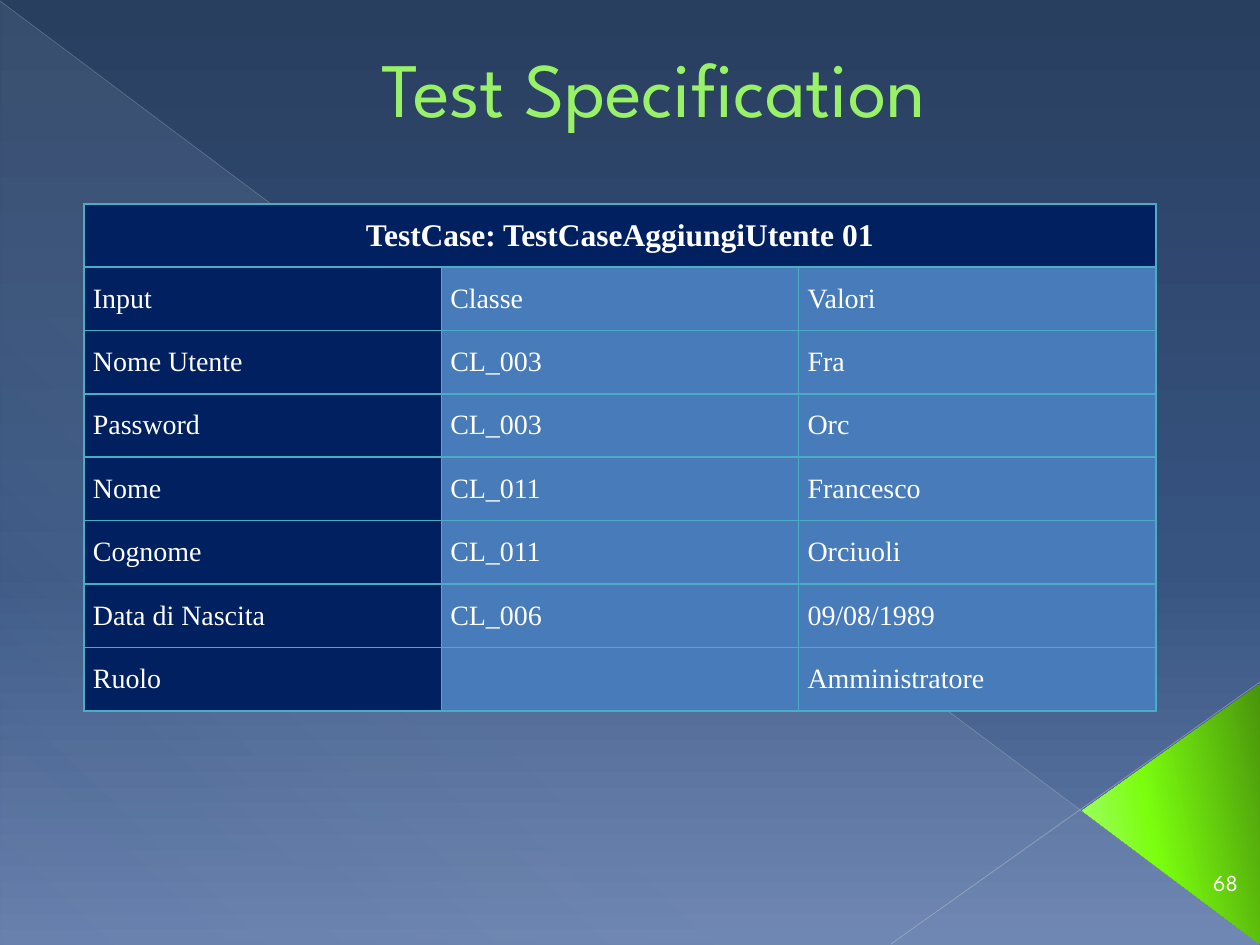
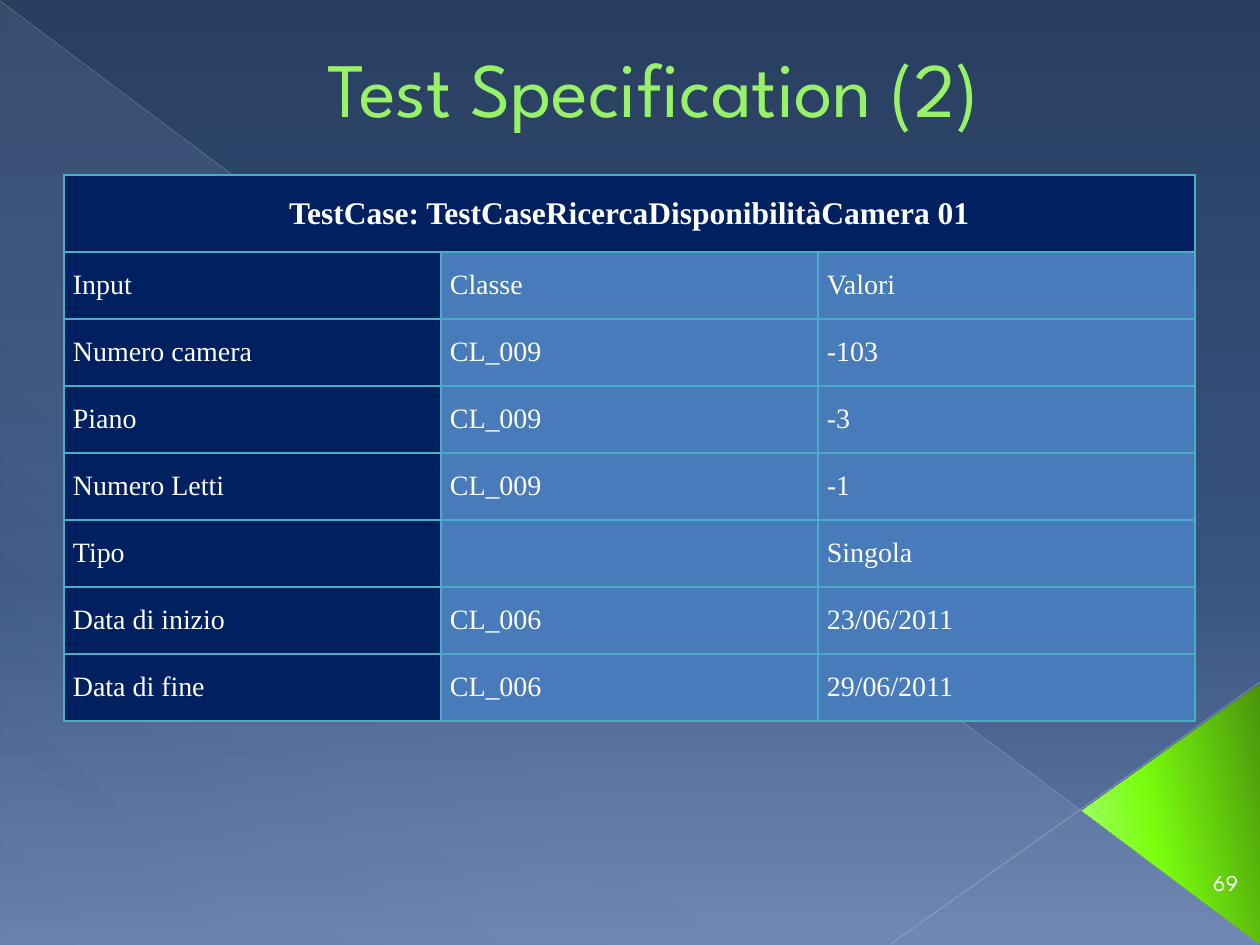
from dataclasses import dataclass

from lxml import etree
from pptx import Presentation
from pptx.dml.color import RGBColor
from pptx.enum.shapes import MSO_CONNECTOR, MSO_SHAPE
from pptx.enum.text import MSO_ANCHOR, PP_ALIGN
from pptx.oxml.ns import qn
from pptx.util import Emu, Pt

STRAIGHT = MSO_CONNECTOR.STRAIGHT
TRIANGLE, RIGHT_TRIANGLE = MSO_SHAPE.ISOSCELES_TRIANGLE, MSO_SHAPE.RIGHT_TRIANGLE
MIDDLE, BOTTOM = MSO_ANCHOR.MIDDLE, MSO_ANCHOR.BOTTOM
CENTER, JUSTIFY = PP_ALIGN.CENTER, PP_ALIGN.JUSTIFY
SLIDE_W, SLIDE_H = 1260, 945


def px(n):
    return Emu(round(n * 914400 / 126))


@dataclass(frozen=True)
class Theme:
    heading_font: str = "League Spartan"
    table_font: str = "Times New Roman"
    title_size: int = 44
    header_size: int = 18
    cell_size: int = 16
    number_size: int = 13
    title: str = "98F167"
    title_outline: str = "589129"
    text: str = "FFFFFF"
    dark_cell: str = "002060"
    light_cell: str = "477BB9"
    border: str = "4BACC6"
    diagonal: str = "B7BCC5"
    corner_line: str = "BFC3CB"
    sky: tuple = ((0, "293F60", 100), (60, "375380", 100), (100, "667FAC", 100))
    haze: tuple = ((0, "D6ECFF", 10), (70, "D6ECFF", 8), (100, "D6ECFF", 1))
    green: tuple = ((0, "49940B", 100), (60, "7BFE0E", 100), (100, "A8FF7D", 100))


def add_color(parent, color, opacity=100):
    clr = etree.SubElement(parent, qn("a:srgbClr"), val=color)
    if opacity < 100:
        etree.SubElement(clr, qn("a:alpha"), val=str(opacity * 1000))


def add_outline(parent, tag, width, color):
    ln = etree.Element(qn(tag), w=str(Pt(width)))
    add_color(etree.SubElement(ln, qn("a:solidFill")), color)
    parent.insert(len(parent.findall(qn("a:ln"))) if tag == "a:ln" else len(parent), ln)


def set_gradient(fill, element, stops, angle):
    fill.gradient()
    grad = element.find(".//" + qn("a:gradFill"))
    gs_list = grad.find(qn("a:gsLst"))
    for gs in list(gs_list):
        gs_list.remove(gs)
    for pos, color, opacity in stops:
        gs = etree.SubElement(gs_list, qn("a:gs"), pos=str(pos * 1000))
        add_color(gs, color, opacity)
    grad.find(qn("a:lin")).set("ang", str(angle * 60000))


class Deck:
    def __init__(self, theme):
        self.theme = theme
        self.prs = Presentation()
        self.prs.slide_width, self.prs.slide_height = px(SLIDE_W), px(SLIDE_H)
        self.s = None

    def slide(self, title, number):
        t = self.theme
        self.s = self.prs.slides.add_slide(self.prs.slide_layouts[6])
        set_gradient(self.s.background.fill, self.s._element, t.sky, 90)
        self.shape(RIGHT_TRIANGLE, (1, 2, 1259, 943), t.haze, 133)
        self.line((0, 1), (1259, 944), t.diagonal, 0.39, 35)
        self.line((1260, 682), (891, 944), t.corner_line, 0.47, 45)
        corner = self.shape(TRIANGLE, (1041, 725, 261, 178), t.green, 258)
        corner.rotation = 270
        corner.adjustments[0] = 0.513
        p = self.text(title, (35, 0, 1171, 139), t.title_size, t.title, BOTTOM)
        p._p.get_or_add_pPr().set("marL", str(px(67)))
        add_outline(p.font._element, "a:ln", 0.5, t.title_outline)
        self.text(str(number), (1191, 857, 69, 50), t.number_size, t.text, MIDDLE)

    def shape(self, kind, box, stops, angle):
        sp = self.s.shapes.add_shape(kind, *map(px, box))
        sp.shadow.inherit = False
        sp.line.fill.background()
        set_gradient(sp.fill, sp._element.spPr, stops, angle)
        return sp

    def line(self, start, end, color, width, opacity):
        c = self.s.shapes.add_connector(STRAIGHT, *map(px, start + end))
        c.line.width = Pt(width)
        c.line.color.rgb = RGBColor.from_string(color)
        clr = c._element.spPr.find(".//" + qn("a:srgbClr"))
        etree.SubElement(clr, qn("a:alpha"), val=str(opacity * 1000))
        etree.SubElement(c._element.spPr, qn("a:effectLst"))

    def style(self, p, text, font, size, color, align, bold=False):
        p.text = text
        p.alignment = align
        p.font.name, p.font.size, p.font.bold = font, Pt(size), bold
        p.font.color.rgb = RGBColor.from_string(color)

    def text(self, text, box, size, color, anchor):
        tf = self.s.shapes.add_textbox(*map(px, box)).text_frame
        tf.word_wrap = True
        tf.vertical_anchor = anchor
        p = tf.paragraphs[0]
        self.style(p, text, self.theme.heading_font, size, color, CENTER)
        return p

    def cell(self, cell, text, fill, size, align, bold):
        t = self.theme
        cell.margin_left = cell.margin_right = px(9)
        cell.margin_top = cell.margin_bottom = 0
        cell.vertical_anchor = MIDDLE
        for side in "LRTB":
            add_outline(cell._tc.get_or_add_tcPr(), "a:ln" + side, 1, t.border)
        cell.fill.solid()
        cell.fill.fore_color.rgb = RGBColor.from_string(fill)
        p = cell.text_frame.paragraphs[0]
        self.style(p, text, t.table_font, size, t.text, align, bold)

    def test_case(self, name, box, header_h, inputs):
        t = self.theme
        rows = [(f"TestCase: {name}", "", ""), ("Input", "Classe", "Valori"), *inputs]
        table = self.s.shapes.add_table(len(rows), 3, *map(px, box)).table
        table.first_row = table.horz_banding = False
        for i, row in enumerate(rows):
            header = i == 0
            table.rows[i].height = px(header_h if header else (box[3] - header_h) / (len(rows) - 1))
            for j, text in enumerate(row):
                fill = t.dark_cell if header or j == 0 else t.light_cell
                size = t.header_size if header else t.cell_size
                self.cell(table.cell(i, j), text, fill, size, CENTER if header else JUSTIFY, header)
        table.cell(0, 0).merge(table.cell(0, 2))


def main():
    deck = Deck(Theme())

    deck.slide("Test Specification", 68)
    deck.test_case("TestCaseAggiungiUtente 01", (84, 204, 1072, 507), 63, [
        ("Nome Utente", "CL_003", "Fra"),
        ("Password", "CL_003", "Orc"),
        ("Nome", "CL_011", "Francesco"),
        ("Cognome", "CL_011", "Orciuoli"),
        ("Data di Nascita", "CL_006", "09/08/1989"),
        ("Ruolo", "", "Amministratore"),
    ])

    deck.slide("Test Specification (2)", 69)
    deck.test_case("TestCaseRicercaDisponibilitàCamera 01", (64, 175, 1131, 546), 77, [
        ("Numero camera", "CL_009", "-103"),
        ("Piano", "CL_009", "-3"),
        ("Numero Letti", "CL_009", "-1"),
        ("Tipo", "", "Singola"),
        ("Data di inizio", "CL_006", "23/06/2011"),
        ("Data di fine", "CL_006", "29/06/2011"),
    ])

    deck.prs.save("out.pptx")


if __name__ == "__main__":
    main()
